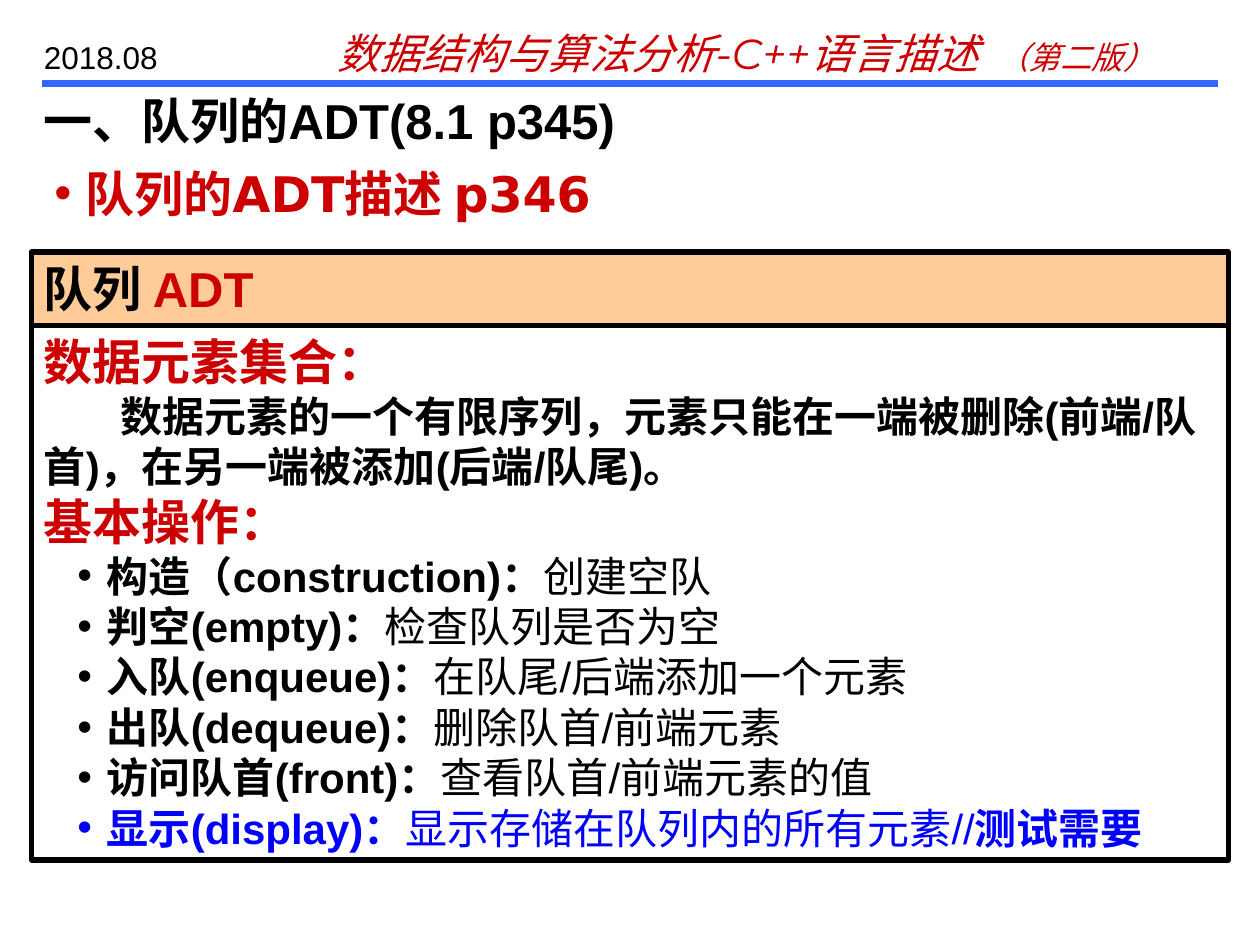
from dataclasses import dataclass

from lxml import etree
from pptx import Presentation
from pptx.dml.color import RGBColor
from pptx.enum import shapes, text
from pptx.oxml import ns
from pptx.util import Inches, Pt

CELL = Inches(1) / 12


@dataclass(frozen=True)
class Theme:
    """Colours, fonts and type sizes of the slide."""
    ink: str = "000000"
    red: str = "CC0000"
    blue: str = "0000FF"
    rule: str = "3366FF"
    band: str = "FFCC99"
    body_font: str = "Arial"
    course_font: str = "Montserrat"
    topic_font: str = "DejaVu Sans"
    heading: int = 28
    body: int = 24
    small: int = 18
    border: int = 3
    rule_width: int = 4


THEME = Theme()

OPERATIONS = [
    ("构造（construction)：", "创建空队"),
    ("判空(empty)：", "检查队列是否为空"),
    ("入队(enqueue)：", "在队尾/后端添加一个元素"),
    ("出队(dequeue)：", "删除队首/前端元素"),
    ("访问队首(front)：", "查看队首/前端元素的值"),
]
DISPLAY = ("显示(display)：", "显示存储在队列内的所有元素//", "测试需要")


def grid(*cells):
    """Turn grid columns and rows into lengths."""
    return [round(cell * CELL) for cell in cells]


def write(paragraph, wording, size, color=THEME.ink, bold=True, italic=False, font=THEME.body_font):
    """Add one formatted run to a paragraph."""
    run = paragraph.add_run()
    run.text = wording
    run.font.size = Pt(size)
    run.font.name = font
    run.font.bold = bold
    run.font.italic = italic
    run.font.color.rgb = RGBColor.from_string(color)


def indent(paragraph, margin, first):
    """Set the left margin and first-line indent in grid columns."""
    margin, first = grid(margin, first)
    properties = paragraph._p.get_or_add_pPr()
    properties.set("marL", str(margin))
    properties.set("indent", str(first))
    return properties


def bullet(paragraph, margin, hang, color):
    """Give a paragraph a hanging round bullet."""
    properties = indent(paragraph, margin, -hang)
    tint = etree.SubElement(properties, ns.qn("a:buClr"))
    etree.SubElement(tint, ns.qn("a:srgbClr")).set("val", color)
    etree.SubElement(properties, ns.qn("a:buFont")).set("typeface", THEME.body_font)
    etree.SubElement(properties, ns.qn("a:buChar")).set("char", "•")


def caption(slide, box):
    """Place an empty wrapping text box and return its first paragraph."""
    frame = slide.shapes.add_textbox(*grid(*box)).text_frame
    frame.word_wrap = True
    return frame.paragraphs[0]


def panel(group, box, fill=None):
    """Place a bordered panel and return its text frame."""
    frame_box = group.shapes.add_shape(shapes.MSO_SHAPE.RECTANGLE, *grid(*box))
    frame_box.shadow.inherit = False
    frame_box.line.color.rgb = RGBColor.from_string(THEME.ink)
    frame_box.line.width = Pt(THEME.border)
    if fill:
        frame_box.fill.solid()
        frame_box.fill.fore_color.rgb = RGBColor.from_string(fill)
    else:
        frame_box.fill.background()
    frame = frame_box.text_frame
    frame.word_wrap = True
    frame.vertical_anchor = text.MSO_ANCHOR.TOP
    frame.paragraphs[0].alignment = text.PP_ALIGN.LEFT
    return frame


def header(slide, left, top, width, height):
    """Draw the rule, the course title and the date."""
    bottom = top + height
    rule = slide.shapes.add_connector(
        shapes.MSO_CONNECTOR.STRAIGHT, *grid(left + 1, bottom, left + width - 1, bottom))
    rule.line.color.rgb = RGBColor.from_string(THEME.rule)
    rule.line.width = Pt(THEME.rule_width)
    etree.SubElement(rule._element.spPr, ns.qn("a:effectLst"))
    course = caption(slide, (left + 28, top, 84, 6))
    for wording, size in (("数据结构与算法分析-C++语言描述  ", THEME.body), ("（第二版）", THEME.small)):
        write(course, wording, size, THEME.red, False, True, THEME.course_font)
    write(caption(slide, (left, top + 1, 17, 4.8)), "2018.08", THEME.small, bold=False)


def headings(slide, left, top, width):
    """Write the section title and the topic line below it."""
    write(caption(slide, (left, top, width, 6)), "一、队列的ADT(8.1 p345)", THEME.heading)
    topic = caption(slide, (left + 1, top + 7, width - 1, 6.85))
    bullet(topic, 3, 3, THEME.red)
    write(topic, "队列的ADT描述 p346", THEME.heading, THEME.red, font=THEME.topic_font)


def adt_card(slide, left, top, width, height):
    """Draw the ADT card: a name band above its definition."""
    band = 7
    card = slide.shapes.add_group_shape()
    name = panel(card, (left, top, width, band), THEME.band).paragraphs[0]
    write(name, "队列 ", THEME.heading)
    write(name, "ADT", THEME.heading, THEME.red)

    definition = panel(card, (left, top + band, width, height - band))

    def line():
        """Add a left-aligned paragraph to the definition."""
        paragraph = definition.add_paragraph()
        paragraph.alignment = text.PP_ALIGN.LEFT
        return paragraph

    write(definition.paragraphs[0], "数据元素集合：", THEME.heading, THEME.red)
    elements = line()
    indent(elements, 0, 7.3)
    write(elements, "数据元素的一个有限序列，元素只能在一端被删除(前端/队首)，在另一端被添加(后端/队尾)。", THEME.body)
    write(line(), "基本操作：", THEME.heading, THEME.red)
    for parts in OPERATIONS + [DISPLAY]:
        color = THEME.blue if parts is DISPLAY else THEME.ink
        operation = line()
        operation.level = 1
        bullet(operation, 6, 2.8, color)
        for index, wording in enumerate(parts):
            write(operation, wording, THEME.body, color, bold=index != 1)


def main():
    """Build and save the slide."""
    deck = Presentation()
    deck.slide_width, deck.slide_height = grid(120, 90)
    slide = deck.slides.add_slide(deck.slide_layouts[6])
    header(slide, 3, 2, 114, 6)
    headings(slide, 3, 8, 117)
    adt_card(slide, 3, 24, 114, 57.9)
    deck.save("out.pptx")


if __name__ == "__main__":
    main()
